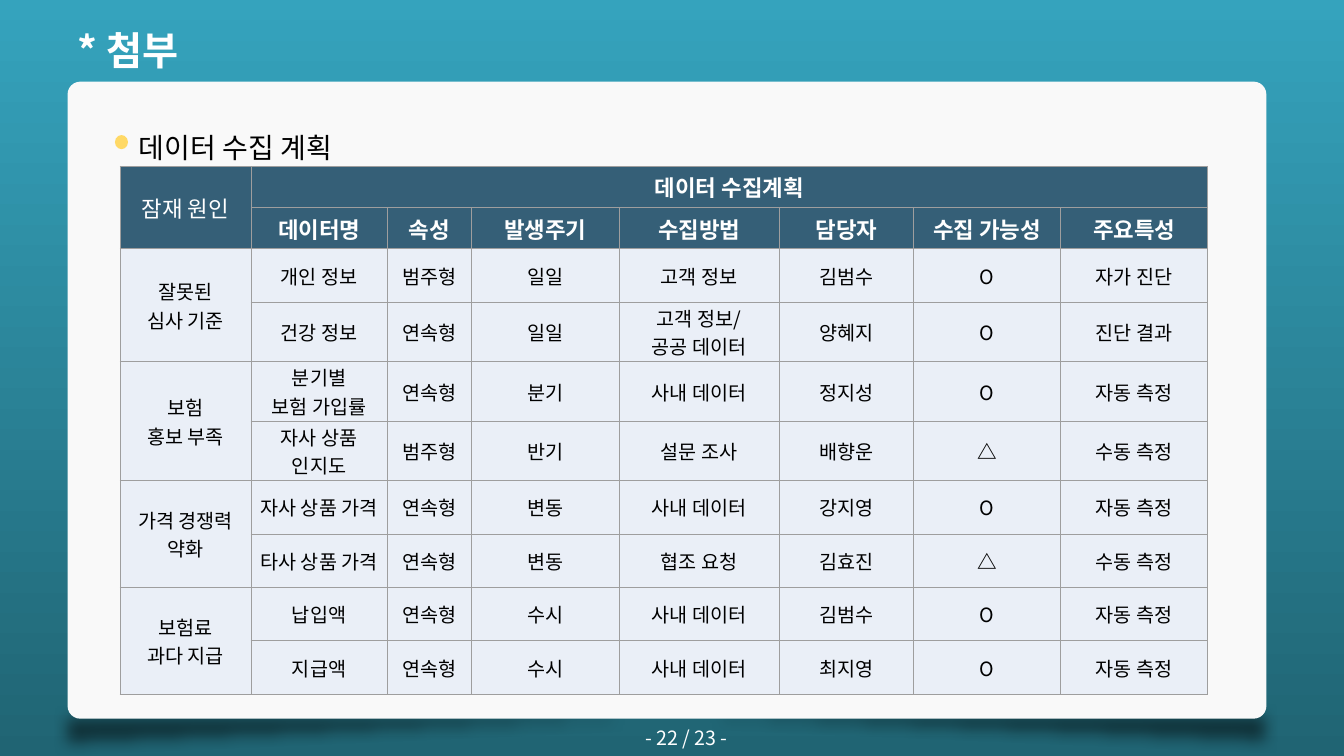
from lxml import etree
from pptx import Presentation
from pptx.dml.color import RGBColor
from pptx.enum.shapes import MSO_SHAPE
from pptx.enum.text import MSO_ANCHOR, PP_ALIGN
from pptx.oxml.ns import qn
from pptx.util import Inches, Pt

TRI = MSO_SHAPE.RIGHT_TRIANGLE
ROUND = MSO_SHAPE.ROUNDED_RECTANGLE
OVAL = MSO_SHAPE.OVAL
MID = MSO_ANCHOR.MIDDLE
LEFT, CENTER = PP_ALIGN.LEFT, PP_ALIGN.CENTER

FONT = "Noto Sans CJK KR"
HUES = {
    "top": "35A3BD", "base": "206473", "card": "F9F9F9", "dot": "FFD966",
    "head": "355F77", "body": "EAEFF7", "rule": "9E9E9E",
    "dark": "000000", "light": "FFFFFF",
}
TITLE = "* 첨부"
TOPIC = "데이터 수집 계획"
PAGE = "- 22 / 23 -"
CORNER = "잠재 원인"
SPAN = "데이터 수집계획"
HEADS = ["데이터명", "속성", "발생주기", "수집방법", "담당자", "수집 가능성", "주요특성"]
CAUSES = [
    ("잘못된\n심사 기준", [
        ("개인 정보", "범주형", "일일", "고객 정보", "김범수", "O", "자가 진단"),
        ("건강 정보", "연속형", "일일", "고객 정보/\n공공 데이터", "양혜지", "O", "진단 결과"),
    ]),
    ("보험\n홍보 부족", [
        ("분기별\n보험 가입률", "연속형", "분기", "사내 데이터", "정지성", "O", "자동 측정"),
        ("자사 상품 인지도", "범주형", "반기", "설문 조사", "배향운", "△", "수동 측정"),
    ]),
    ("가격 경쟁력 약화", [
        ("자사 상품 가격", "연속형", "변동", "사내 데이터", "강지영", "O", "자동 측정"),
        ("타사 상품 가격", "연속형", "변동", "협조 요청", "김효진", "△", "수동 측정"),
    ]),
    ("보험료\n과다 지급", [
        ("납입액", "연속형", "수시", "사내 데이터", "김범수", "O", "자동 측정"),
        ("지급액", "연속형", "수시", "사내 데이터", "최지영", "O", "자동 측정"),
    ]),
]
COLS = [1.3, 1.35, 0.84, 1.46, 1.59, 1.33, 1.46, 1.46]
ROWS = [0.41] * 2 + [0.53] + [0.59] * 3 + [0.53] * 4

deck = Presentation()
deck.slide_width, deck.slide_height = Inches(13.33), Inches(7.5)
slide = deck.slides.add_slide(deck.slide_layouts[6])
shapes = slide.shapes


def hue(name):
    return RGBColor.from_string(HUES[name])


def sub(node, tag, **attrs):
    return etree.SubElement(node, qn(tag), attrs)


def write(frame, text, size, color, bold=False, align=LEFT):
    frame.text = text
    for para in frame.paragraphs:
        para.alignment = align
        for run in para.runs:
            font = run.font
            font.name, font.size, font.bold = FONT, Pt(size), bold
            font.color.rgb = hue(color)
            sub(run._r.get_or_add_rPr(), "a:ea", typeface=FONT)


def shape(kind, box, color):
    item = shapes.add_shape(kind, *map(Inches, box))
    item.shadow.inherit = False
    item.fill.solid()
    item.fill.fore_color.rgb = hue(color)
    item.line.fill.background()
    return item


def label(box, text, size, color, bold=False, align=LEFT, inset=(0.1, 0.05)):
    frame = shapes.add_textbox(*map(Inches, box)).text_frame
    frame.word_wrap = True
    frame.margin_left = frame.margin_right = Inches(inset[0])
    frame.margin_top = frame.margin_bottom = Inches(inset[1])
    write(frame, text, size, color, bold, align)
    return frame


def shade(left, top, flips):
    item = shape(TRI, (left, top, 12.02, 0.5), "dark")
    props = item._element.spPr
    for flip in flips:
        props.find(qn("a:xfrm")).set(flip, "1")
    tint = props.find(qn("a:solidFill"))[0]
    sub(tint, "a:alpha", val="51000")
    sub(props.find(qn("a:effectLst")), "a:softEdge", rad="127000")


def cell(grid, row, col, text, size, color, fill, bold=False):
    box = grid.cell(row, col)
    box.vertical_anchor = MID
    box.margin_left = box.margin_right = Inches(0.01)
    box.margin_top = box.margin_bottom = Inches(0.01)
    write(box.text_frame, text, size, color, bold, CENTER)
    props = box._tc.get_or_add_tcPr()
    for side in "LRTB":
        line = sub(props, "a:ln" + side, w=str(Pt(0.75)))
        sub(sub(line, "a:solidFill"), "a:srgbClr", val=HUES["rule"])
    box.fill.solid()
    box.fill.fore_color.rgb = hue(fill)


def table():
    frame = shapes.add_table(len(ROWS), len(COLS), Inches(1.19), Inches(1.65),
                             Inches(sum(COLS)), Inches(sum(ROWS)))
    grid = frame.table
    for col, width in zip(grid.columns, COLS):
        col.width = Inches(width)
    for row, height in zip(grid.rows, ROWS):
        row.height = Inches(height)
    lines = [[CORNER, SPAN] + [""] * 6, [""] + HEADS]
    for cause, pair in CAUSES:
        lines += [[cause, *pair[0]], ["", *pair[1]]]
    for r, line in enumerate(lines):
        for c, text in enumerate(line):
            if r < 2:
                cell(grid, r, c, text, 16, "light", "head", c > 0)
            else:
                cell(grid, r, c, text, 14, "dark", "body", text == "△")
    grid.cell(0, 1).merge(grid.cell(0, len(COLS) - 1))
    for r in range(0, len(ROWS), 2):
        grid.cell(r, 0).merge(grid.cell(r + 1, 0))


def main():
    back = slide.background.fill
    back.gradient()
    back.gradient_angle = 270
    for stop, name, place in zip(back.gradient_stops, ("top", "base"), (0, 1)):
        stop.color.rgb = hue(name)
        stop.position = place
    shade(0.65, 6.98, ("flipH", "flipV"))
    shade(0.54, 7, ("flipV",))
    shape(ROUND, (0.67, 0.81, 11.89, 6.32), "card").adjustments[0] = 0.02
    shape(OVAL, (1.14, 1.34, 0.13, 0.14), "dot")
    topic = label((1.28, 1.08, 4.68, 0.57), TOPIC, 20, "dark")
    topic.paragraphs[0].line_spacing = 1.5
    table()
    label((0.67, 0.21, 7.52, 0.57), TITLE, 28, "light", True)
    label((6.18, 7.2, 1.26, 0.24), PAGE, 14, "light", align=CENTER, inset=(0, 0))
    deck.save("out.pptx")


if __name__ == "__main__":
    main()
